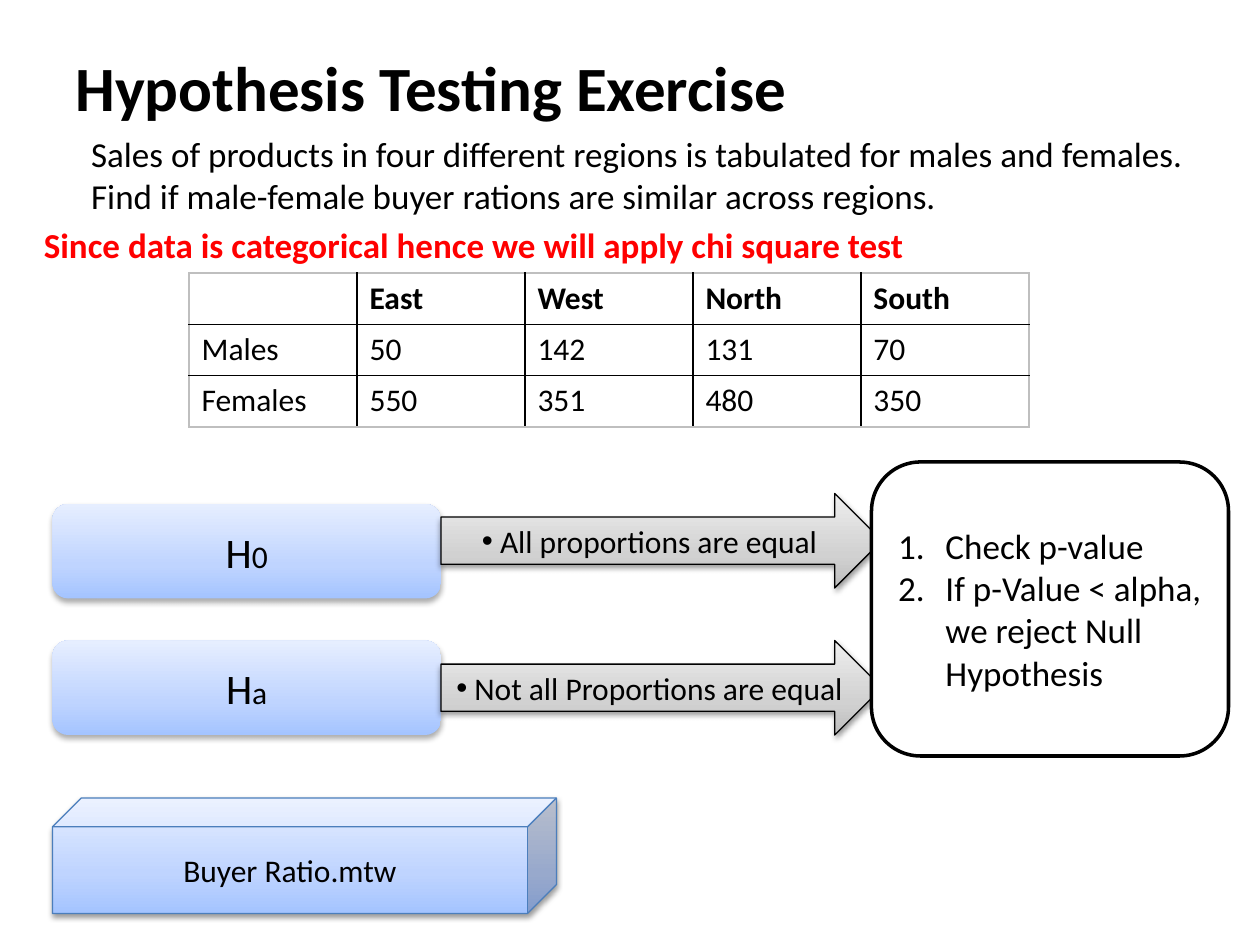
"""Build the chi square hypothesis testing exercise slide."""
import dataclasses

import pptx
import pptx.dml.color
import pptx.enum.shapes
import pptx.enum.text
import pptx.oxml.ns
import pptx.util
from lxml import etree

Pt = pptx.util.Pt
MSO_SHAPE = pptx.enum.shapes.MSO_SHAPE
PP_ALIGN = pptx.enum.text.PP_ALIGN
ANCHOR = pptx.enum.text.MSO_ANCHOR
qn = pptx.oxml.ns.qn


@dataclasses.dataclass(frozen=True)
class Theme:
    """Colours, font and type sizes of the slide."""
    font: str = "Calibri"
    ink: str = "000000"
    white: str = "FFFFFF"
    accent: str = "FF0000"
    edge: str = "BFBFBF"
    cube_line: str = "4B7EBC"
    blue: tuple = ("A4C4FF", "BFD4FF", "E6EEFF")
    grey: tuple = ("BDBDBD", "D1D1D1", "EEEEEE")
    title: int = 36
    symbol: int = 24
    body: int = 20
    small: int = 18


T = Theme()
SOFT = (32, 3.5, 2.2)
STRONG = (38, 3.1, 1.6)


def rgb(color):
    """Turn a hex string into a colour."""
    return pptx.dml.color.RGBColor.from_string(color)


def sub(parent, tag, **attrs):
    """Append a DrawingML child element."""
    return etree.SubElement(parent, qn("a:" + tag), {k: str(v) for k, v in attrs.items()})


def add_run(p, text, size, color=T.ink, bold=False):
    """Append one formatted run to a paragraph."""
    r = p.add_run()
    r.text = text
    r.font.name, r.font.size, r.font.bold = T.font, Pt(size), bold
    r.font.color.rgb = rgb(color)


def set_indent(p, left, first=0):
    """Set the left margin and first-line indent of a paragraph."""
    pPr = p._p.get_or_add_pPr()
    pPr.set("marL", str(Pt(left)))
    pPr.set("indent", str(Pt(first)))
    return pPr


def add_text(s, box, anchor=ANCHOR.TOP):
    """Add a wrapping text box and return its text frame."""
    tf = s.shapes.add_textbox(*map(Pt, box)).text_frame
    tf.word_wrap, tf.vertical_anchor = True, anchor
    return tf


def add_box(s, kind, box, fill, line=None, width=0.75, shadow=None):
    """Add a preset shape with its fill, outline and shadow."""
    sp = s.shapes.add_shape(kind, *map(Pt, box))
    sp.shadow.inherit = False
    if isinstance(fill, tuple):
        sp.fill.gradient()
        sp.fill.gradient_angle = 90
        stops = sp._element.spPr.find(".//" + qn("a:gsLst"))
        for stop in list(stops):
            stops.remove(stop)
        for pos, color in zip((0, 35, 100), fill):
            sub(sub(stops, "gs", pos=pos * 1000), "srgbClr", val=color)
    else:
        sp.fill.solid()
        sp.fill.fore_color.rgb = rgb(fill)
    if line:
        sp.line.color.rgb, sp.line.width = rgb(line), Pt(width)
    else:
        sp.line.fill.background()
    if shadow:
        alpha, blur, dist = shadow
        effects = sp._element.spPr.find(qn("a:effectLst"))
        outer = sub(effects, "outerShdw", blurRad=Pt(blur), dist=Pt(dist),
                    dir=90 * 60000, rotWithShape=0)
        sub(sub(outer, "srgbClr", val=T.ink), "alpha", val=alpha * 1000)
    tf = sp.text_frame
    tf.word_wrap, tf.vertical_anchor = True, ANCHOR.MIDDLE
    tf.paragraphs[0].alignment = PP_ALIGN.CENTER
    return tf


def add_hypothesis(s, letter, claim, top, arrow_top):
    """Add a hypothesis box with the arrow that states its claim."""
    p = add_box(s, MSO_SHAPE.ROUNDED_RECTANGLE, (30, top, 222, 54), T.blue,
                shadow=SOFT).paragraphs[0]
    add_run(p, "H", T.symbol)
    add_run(p, letter, T.small)
    p = add_box(s, MSO_SHAPE.RIGHT_ARROW, (252, arrow_top, 252, 54), T.grey, T.ink,
                shadow=STRONG).paragraphs[0]
    pPr = set_indent(p, 0)
    sub(pPr, "buFont", typeface="Arial")
    sub(pPr, "buChar", char="•")
    add_run(p, " " + claim, T.small)


def add_steps(s, steps):
    """Add the outlined box with numbered steps."""
    tf = add_box(s, MSO_SHAPE.ROUNDED_RECTANGLE, (498, 264, 204, 168), T.white, T.ink, 2)
    for i, step in enumerate(steps):
        p = tf.add_paragraph() if i else tf.paragraphs[0]
        p.alignment = PP_ALIGN.LEFT
        pPr = set_indent(p, 27, -27)
        sub(pPr, "buFont", typeface="+mj-lt")
        sub(pPr, "buAutoNum", type="arabicPeriod")
        add_run(p, step, T.body)


def add_grid(s, rows):
    """Add the sales table with dark inner and light outer rules."""
    n, m = len(rows), len(rows[0])
    tbl = s.shapes.add_table(n, m, Pt(108), Pt(156), Pt(480), Pt(88)).table
    tbl.first_row = tbl.horz_banding = False
    for i, row in enumerate(rows):
        for j, text in enumerate(row):
            cell = tbl.cell(i, j)
            outer = {"lnL": j == 0, "lnR": j == m - 1, "lnT": i == 0, "lnB": i == n - 1}
            for tag, is_outer in outer.items():
                ln = sub(cell._tc.get_or_add_tcPr(), tag, w=Pt(1))
                sub(sub(ln, "solidFill"), "srgbClr", val=T.edge if is_outer else T.ink)
            cell.fill.background()
            if text:
                add_run(cell.text_frame.paragraphs[0], text, T.small, bold=i == 0)


def main():
    """Build and save the slide."""
    prs = pptx.Presentation()
    prs.slide_width, prs.slide_height = Pt(720), Pt(540)
    s = prs.slides.add_slide(prs.slide_layouts[6])
    tf = add_text(s, (36, 21.6, 648, 56), ANCHOR.MIDDLE)
    add_run(tf.paragraphs[0], "Hypothesis Testing Exercise", T.title, bold=True)

    tf = add_text(s, (18, 72, 690, 450))
    p = tf.paragraphs[0]
    set_indent(p, 27)
    add_run(p, "Sales of products in four different regions is tabulated for males and "
               "females. Find if male-female buyer rations are similar across regions.", T.body)
    p = tf.add_paragraph()
    set_indent(p, 27, -27)
    add_run(p, "Since data is categorical hence we will apply chi square test",
            T.body, T.accent, True)
    for p in tf.paragraphs:
        p.space_before = Pt(4)

    add_grid(s, [("", "East", "West", "North", "South"),
                 ("Males", "50", "142", "131", "70"),
                 ("Females", "550", "351", "480", "350")])
    add_hypothesis(s, "0", "All proportions are equal", 288, 282)
    add_hypothesis(s, "a", "Not all Proportions are equal", 366, 366)
    add_steps(s, ("Check p-value", "If p-Value < alpha, we reject Null Hypothesis"))
    tf = add_box(s, MSO_SHAPE.CUBE, (30, 456, 288, 66), T.blue, T.cube_line, shadow=STRONG)
    add_run(tf.paragraphs[0], "Buyer Ratio.mtw", T.small)
    prs.save("out.pptx")


if __name__ == "__main__":
    main()
